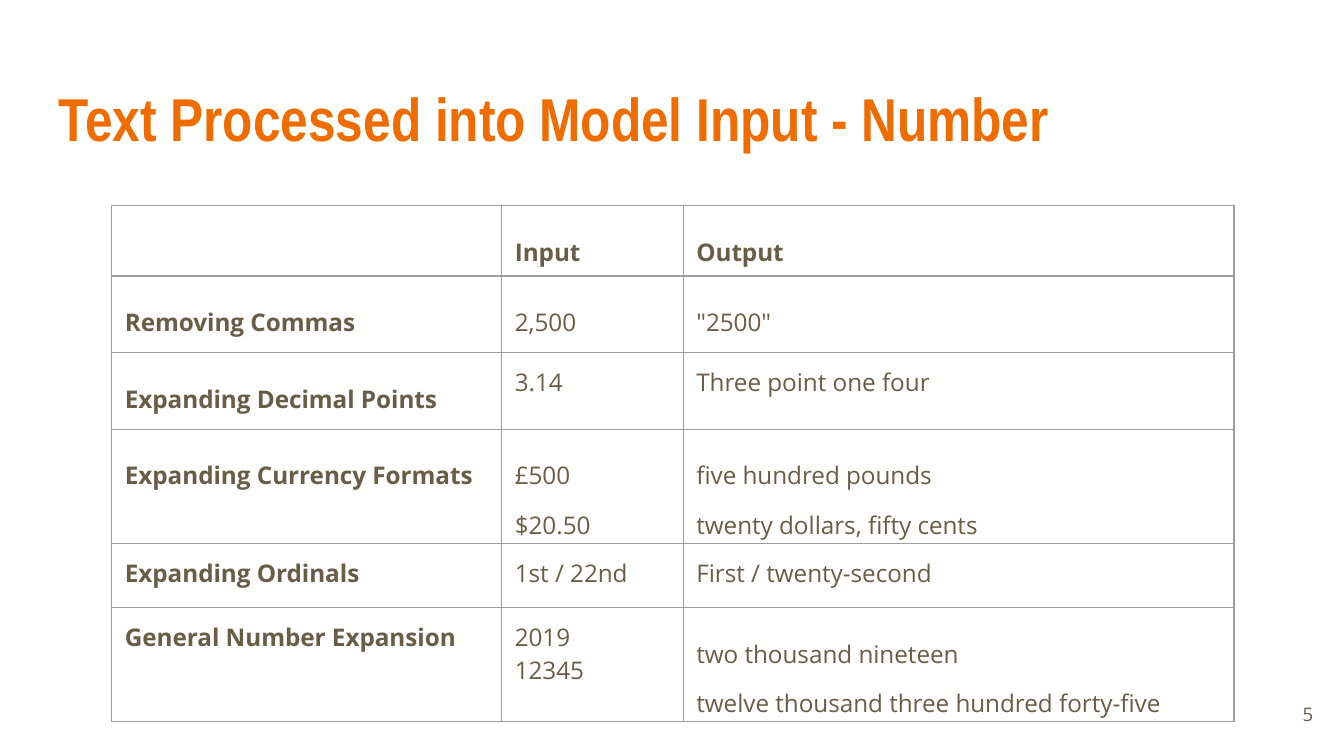
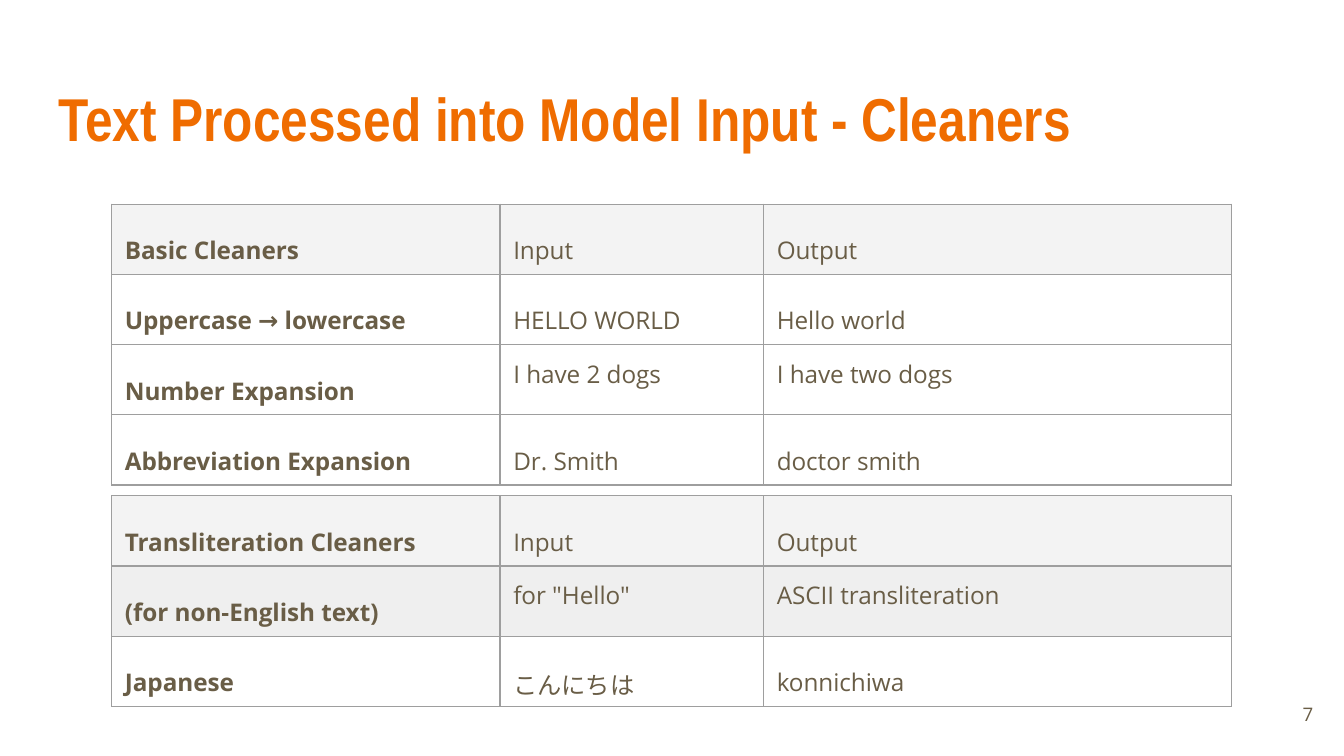
from collections import namedtuple
from copy import deepcopy
from dataclasses import dataclass

from lxml import etree
from pptx import Presentation
from pptx.dml.color import RGBColor
from pptx.enum import text
from pptx.oxml import ns
from pptx.util import Cm, Pt


@dataclass(frozen=True)
class Theme:
    orange: str = "EF6C00"
    brown: str = "695D46"
    border: str = "9E9E9E"
    head_fill: str = "F3F3F3"
    note_fill: str = "EFEFEF"
    title_font: str = "Arial Narrow"
    body_font: str = "Open Sans"
    title_size: float = 32.4
    body_size: float = 13
    number_size: float = 10
    border_width: float = 0.75
    inset: float = 0.25


THEME = Theme()
Box = namedtuple("Box", "left top width height")
Row = namedtuple("Row", "height cells spacing fill bold", defaults=(None, False))

# Line spacing of the three cells in a row
OPEN = (1.5, 1.5, 1.5)
TIGHT = (1, 1, 1)
OPEN_LABEL = (1.5, 1, 1)
OPEN_OUTPUT = (1, 1, 1.5)

SLIDE_WIDTH, SLIDE_HEIGHT = 25.4, 14.29
TITLE_BOX = Box(0.86, 1.24, 23.67, 1.96)
NUMBER_BOX = Box(23.55, 12.95, 1.52, 1.09)
TABLE_LEFT = 2.11

NUMBER_COLUMNS = (7.37, 3.43, 10.41)
NUMBER_ROWS = [
    Row(1.12, ("", "Input", "Output"), OPEN, bold=True),
    Row(1.45, ("Removing Commas", "2,500", '"2500"'), OPEN),
    Row(1.45, ("Expanding Decimal Points", "3.14", "Three point one four"), OPEN_LABEL),
    Row(1.98, ("Expanding Currency Formats", "£500\n$20.50",
               "five hundred pounds\ntwenty dollars, fifty cents"), OPEN),
    Row(1.22, ("Expanding Ordinals", "1st / 22nd", "First / twenty-second"), TIGHT),
    Row(2.13, ("General Number Expansion", "2019\n12345",
               "two thousand nineteen\ntwelve thousand three hundred forty-five"),
        OPEN_OUTPUT),
]

CLEANER_COLUMNS = (7.34, 4.98, 8.84)
BASIC_ROWS = [
    Row(0.69, ("Basic Cleaners", "Input", "Output"), OPEN, THEME.head_fill),
    Row(1.17, ("Uppercase → lowercase", "HELLO WORLD", "Hello world"), OPEN),
    Row(0.89, ("Number Expansion", "I have 2 dogs", "I have two dogs"), OPEN_LABEL),
    Row(1.22, ("Abbreviation Expansion", "Dr. Smith", "doctor smith"), OPEN),
]
TRANSLITERATION_ROWS = [
    Row(0.69, ("Transliteration Cleaners", "Input", "Output"), OPEN, THEME.head_fill),
    Row(0.69, ("(for non-English text)", 'for "Hello"', "ASCII transliteration"),
        OPEN_LABEL, THEME.note_fill),
    Row(1.17, ("Japanese", "こんにちは", "konnichiwa"), OPEN),
]


def set_all(target, values):
    for name, value in values.items():
        setattr(target, name, value)


def margins(prefix="margin_"):
    return {prefix + side: Cm(THEME.inset) for side in ("left", "top", "right", "bottom")}


def write(paragraph, words, font, size, color, bold=False):
    """Fill a paragraph; line breaks take the same format as the runs."""
    paragraph.text = words
    for run in paragraph.runs:
        set_all(run.font, {"name": font, "size": Pt(size), "bold": bold})
        run.font.color.rgb = RGBColor.from_string(color)
    for line_break in paragraph._p.findall(ns.qn("a:br")):
        line_break.insert(0, deepcopy(paragraph.runs[0]._r.rPr))


def add_borders(cell):
    properties = cell._tc.get_or_add_tcPr()
    for index, side in enumerate(("lnL", "lnR", "lnT", "lnB")):
        line = etree.Element(ns.qn("a:" + side), w=str(Pt(THEME.border_width)))
        fill = etree.SubElement(line, ns.qn("a:solidFill"))
        etree.SubElement(fill, ns.qn("a:srgbClr"), val=THEME.border)
        properties.insert(index, line)


def add_title(slide, box, words):
    title = slide.shapes.title
    set_all(title, {name: Cm(value) for name, value in box._asdict().items()})
    set_all(title.text_frame, {
        **margins(),
        "word_wrap": True,
        "auto_size": text.MSO_AUTO_SIZE.NONE,
        "vertical_anchor": text.MSO_ANCHOR.MIDDLE,
    })
    heading = title.text_frame.paragraphs[0]
    heading.alignment = text.PP_ALIGN.LEFT
    write(heading, words, THEME.title_font, THEME.title_size, THEME.orange, True)


def add_page_number(slide, box, number):
    frame = slide.shapes.add_textbox(*map(Cm, box)).text_frame
    set_all(frame, {
        **margins(),
        "word_wrap": True,
        "vertical_anchor": text.MSO_ANCHOR.MIDDLE,
    })
    page = frame.paragraphs[0]
    page.alignment = text.PP_ALIGN.RIGHT
    write(page, str(number), THEME.body_font, THEME.number_size, THEME.brown)


def add_examples(slide, top, columns, rows):
    """Place a table of labels, inputs and outputs at the given height."""
    box = Box(TABLE_LEFT, top, sum(columns), sum(row.height for row in rows))
    table = slide.shapes.add_table(len(rows), len(columns), *map(Cm, box)).table
    set_all(table, {"first_row": False, "horz_banding": False})
    for column, width in zip(table.columns, columns):
        column.width = Cm(width)

    for table_row, row in zip(table.rows, rows):
        table_row.height = Cm(row.height)
        for index, cell in enumerate(table_row.cells):
            set_all(cell, margins())
            if row.fill:
                cell.fill.solid()
                cell.fill.fore_color.rgb = RGBColor.from_string(row.fill)
            else:
                cell.fill.background()
            add_borders(cell)
            paragraph = cell.text_frame.paragraphs[0]
            paragraph.line_spacing = float(row.spacing[index])
            write(paragraph, row.cells[index], THEME.body_font, THEME.body_size,
                  THEME.brown, row.bold or index == 0)


def add_table_slide(deck, topic, number, columns, tables):
    """Build one slide from its title, page number and stacked tables."""
    slide = deck.slides.add_slide(deck.slide_layouts.get_by_name("Title Only"))
    add_title(slide, TITLE_BOX, f"Text Processed into Model Input - {topic}")
    add_page_number(slide, NUMBER_BOX, number)
    for top, rows in tables:
        add_examples(slide, top, columns, rows)


def main():
    deck = Presentation()
    set_all(deck, {"slide_width": Cm(SLIDE_WIDTH), "slide_height": Cm(SLIDE_HEIGHT)})
    add_table_slide(deck, "Number", 5, NUMBER_COLUMNS, [(3.89, NUMBER_ROWS)])
    add_table_slide(deck, "Cleaners", 7, CLEANER_COLUMNS,
                    [(3.86, BASIC_ROWS), (9.37, TRANSLITERATION_ROWS)])
    deck.save("out.pptx")


if __name__ == "__main__":
    main()
